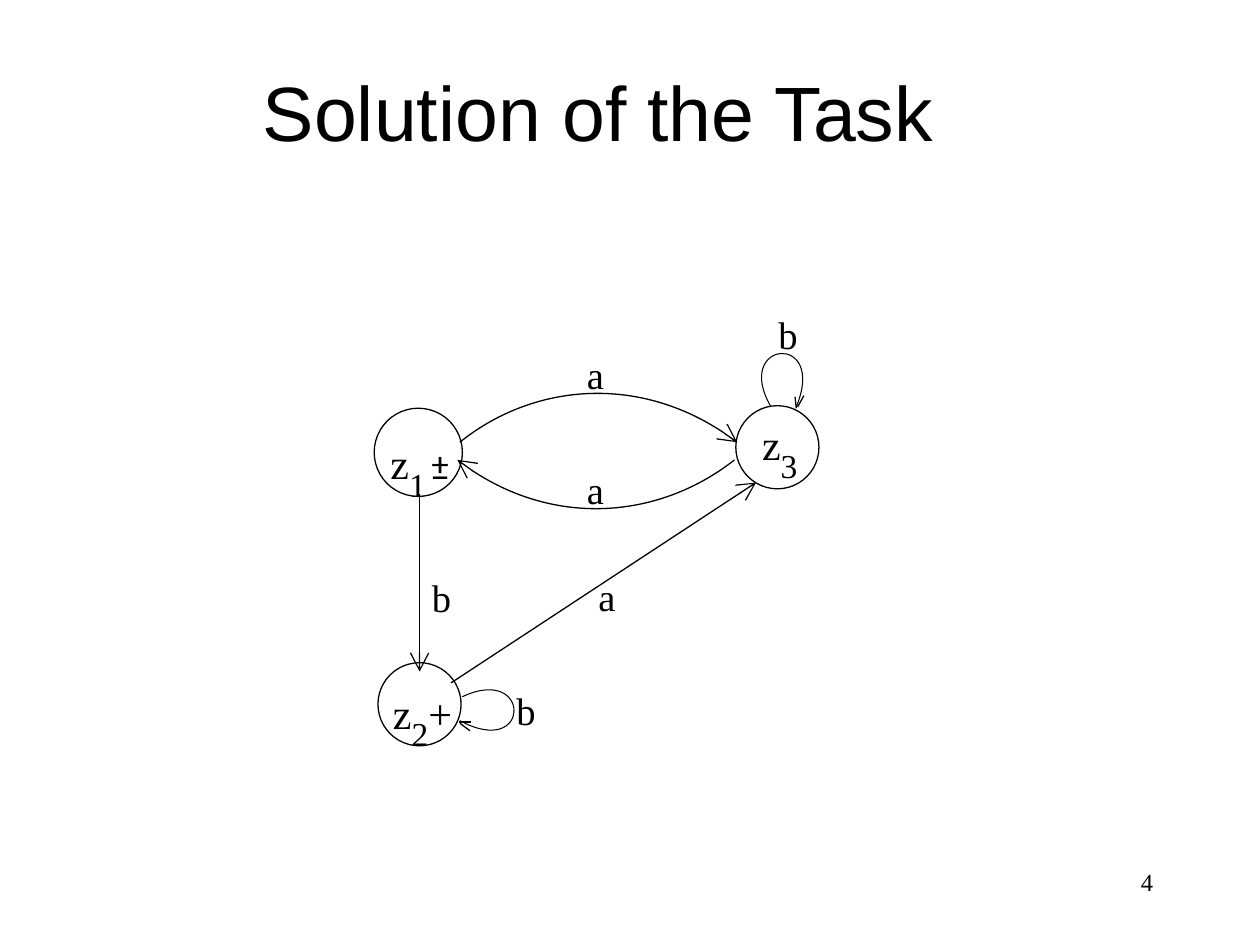
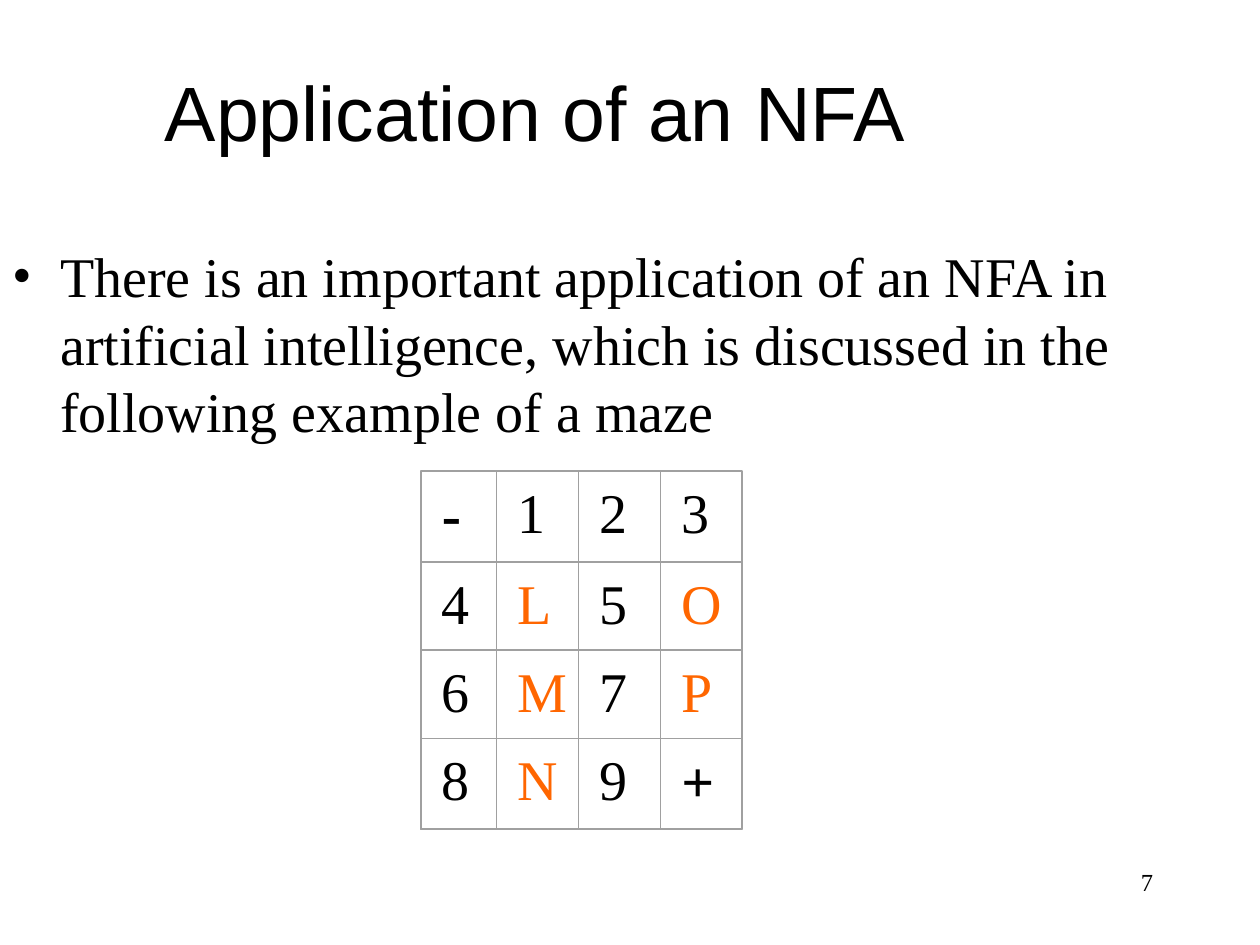
from itertools import accumulate

from pptx import Presentation
from pptx.dml.color import RGBColor
from pptx.enum.shapes import MSO_CONNECTOR as Connector, MSO_SHAPE as Preset
from pptx.enum.text import MSO_ANCHOR as Anchor, PP_ALIGN as Align
from pptx.oxml.ns import qn
from pptx.util import Inches, Pt
from lxml.etree import SubElement

COLOURS = {"ink": "000000", "paper": "FFFFFF", "wall": "FF6600", "grid": "A0A0A0"}
SERIF = "Times New Roman"
SANS = "Arial"
SYMBOL = "Karla"
LINE = 0.74
LOOP_LINE = 0.6
FRAME_LINE = 0.88

STATES = [
    ((2.97, 3.24), 0.7, (3, 3.3),
     [("z", 24, SERIF, 0), ("1", 33, SERIF, -30), (" ", 13, SERIF, -30), ("±", 24, SYMBOL, 0)]),
    ((3, 5.26), 0.66, (3.02, 5.28),
     [("z", 24, SERIF, 0), ("2", 33, SERIF, -30), ("+", 24, SERIF, 0)]),
    ((5.84, 3.22), 0.66, (5.95, 3.15),
     [("z", 24, SERIF, 0), ("3", 33, SERIF, -30)]),
]
CURVES = [
    [(3.65, 3.51), (4.21, 3.06), (5.12, 2.95), (5.85, 3.51)],
    [(5.83, 3.65), (5.26, 4.1), (4.35, 4.21), (3.63, 3.65)],
]
LOOPS = [
    ([(6.12, 3.23), (5.81, 2.7), (6.57, 2.63), (6.32, 3.23)],
     [[(6.33, 3.23), (6.38, 3.14)], [(6.31, 3.15), (6.32, 3.24)]]),
    ([(3.67, 5.53), (4.22, 5.27), (4.22, 6.03), (3.65, 5.72)],
     [[(3.65, 5.74), (3.73, 5.8)], [(3.74, 5.73), (3.64, 5.73)]]),
]
STRAIGHTS = [((3.33, 3.92), (3.33, 5.33)), ((3.58, 5.42), (6, 3.83))]
EDGE_LABELS = [
    ("a", 4.56, 2.74), ("a", 4.56, 3.65), ("b", 6.08, 2.42),
    ("b", 3.33, 4.51), ("b", 4, 5.4), ("a", 4.65, 4.5),
]
MAZE = ["-123", "4L5O", "6M7P", "8N9+"]
MAZE_COLUMNS = [0.6, 0.65, 0.65, 0.65]
MAZE_ROWS = [0.72, 0.7, 0.7, 0.72]
MAZE_GAP = 0.07


def colour(name):
    return RGBColor.from_string(COLOURS[name])


def style_run(span, size, font=SERIF, ink="ink", bold=False):
    span.font.size = Pt(size)
    span.font.name = font
    span.font.bold = bold
    span.font.color.rgb = colour(ink)


def add_text(page, text, left, top, width, height, size,
             font=SERIF, align=Align.LEFT, ink="ink", bold=False):
    box = page.shapes.add_textbox(Inches(left), Inches(top), Inches(width), Inches(height))
    box.text_frame.word_wrap = True
    box.text_frame.text = text
    para = box.text_frame.paragraphs[0]
    para.alignment = align
    for span in para.runs:
        style_run(span, size, font, ink, bold)
    return box


def add_page(deck, title, title_left, number):
    page = deck.slides.add_slide(deck.slide_layouts[6])
    heading = add_text(page, title, title_left, 0.25, 8.5, 1.25, 44, SANS, Align.CENTER)
    heading.text_frame.vertical_anchor = Anchor.MIDDLE
    add_text(page, number, 7.17, 6.83, 2.08, 0.5, 14, align=Align.RIGHT)
    return page


def style_line(shape, weight, ink="ink"):
    shape.line.color.rgb = colour(ink)
    shape.line.width = Pt(weight)


def add_arrowhead(shape):
    SubElement(shape.line._get_or_add_ln(), qn("a:tailEnd"), type="arrow", w="lg", len="lg")


def add_preset(page, preset, left, top, width, height, weight, ink="ink", fill=None):
    shape = page.shapes.add_shape(
        preset, Inches(left), Inches(top), Inches(width), Inches(height))
    shape.shadow.inherit = False
    if fill:
        shape.fill.solid()
        shape.fill.fore_color.rgb = colour(fill)
    else:
        shape.fill.background()
    style_line(shape, weight, ink)


def add_state(page, corner, diameter, place, spans):
    add_preset(page, Preset.OVAL, *corner, diameter, diameter, LINE, fill="paper")
    box = add_text(page, "", *place, 0.8, 0.46, 24)
    para = box.text_frame.paragraphs[0]
    for text, size, font, baseline in spans:
        span = para.add_run()
        span.text = text
        style_run(span, size, font)
        if baseline:
            span._r.get_or_add_rPr().set("baseline", str(baseline * 1000))


def add_stroke(page, points, weight):
    start, *others = [(Inches(x), Inches(y)) for x, y in points]
    builder = page.shapes.build_freeform(*start)
    builder.add_line_segments(others, close=False)
    stroke = builder.convert_to_shape()
    stroke.shadow.inherit = False
    stroke.fill.background()
    style_line(stroke, weight)
    return stroke


def add_curve(page, points, weight):
    curve = add_stroke(page, points, weight)
    outline = next(curve._element.iter(qn("a:path")))
    bezier = SubElement(outline, qn("a:cubicBezTo"))
    for segment in outline.findall(qn("a:lnTo")):
        bezier.append(segment[0])
        outline.remove(segment)
    return curve


def add_loop(page, points, head_strokes):
    add_curve(page, points, LOOP_LINE)
    for stroke in head_strokes:
        add_stroke(page, stroke, LINE)


def add_arrow(page, start, end):
    arrow = page.shapes.add_connector(
        Connector.STRAIGHT, *[Inches(value) for value in start + end])
    style_line(arrow, LINE)
    add_arrowhead(arrow)
    SubElement(arrow._element.spPr, qn("a:effectLst"))


def add_bullet(para, indent):
    properties = para._p.get_or_add_pPr()
    properties.set("marL", str(Inches(indent)))
    properties.set("indent", str(-Inches(indent)))
    SubElement(SubElement(properties, qn("a:buClr")), qn("a:srgbClr"), val=COLOURS["ink"])
    SubElement(properties, qn("a:buFont"), typeface=SERIF)
    SubElement(properties, qn("a:buChar"), char="•")


def add_maze_cell(page, mark, left, top, width, height):
    is_end = mark in "-+"
    add_text(page, mark, left + MAZE_GAP, top, width - 2 * MAZE_GAP, height,
             33 if is_end else 32, ink="wall" if mark.isalpha() else "ink", bold=is_end)
    add_preset(page, Preset.RECTANGLE, left, top, width, height, 0, "grid")


def add_maze(page, left, top):
    lefts = list(accumulate(MAZE_COLUMNS, initial=left))
    tops = list(accumulate(MAZE_ROWS, initial=top))
    for marks, cell_top, height in zip(MAZE, tops, MAZE_ROWS):
        for mark, cell_left, width in zip(marks, lefts, MAZE_COLUMNS):
            add_maze_cell(page, mark, cell_left, cell_top, width, height)
    add_preset(page, Preset.RECTANGLE, left, top,
               sum(MAZE_COLUMNS), sum(MAZE_ROWS), FRAME_LINE, "grid")


def build_solution(deck):
    page = add_page(deck, "Solution of the Task", 0.5, "4")
    for state in STATES:
        add_state(page, *state)
    for points in CURVES:
        add_arrowhead(add_curve(page, points, LINE))
    for points, head_strokes in LOOPS:
        add_loop(page, points, head_strokes)
    for start, end in STRAIGHTS:
        add_arrow(page, start, end)
    for label, left, top in EDGE_LABELS:
        add_text(page, label, left, top, 1.01, 0.41, 22)


def build_application(deck):
    page = add_page(deck, "Application of an NFA", 0, "7")
    body = add_text(
        page,
        "There is an important application of an NFA in artificial intelligence, "
        "which is discussed in the following example of a maze",
        0, 1.87, 8.94, 5.44, 32)
    para = body.text_frame.paragraphs[0]
    para.space_before = Pt(8)
    add_bullet(para, 0.38)
    add_maze(page, 3.34, 3.74)


def main():
    deck = Presentation()
    deck.slide_width, deck.slide_height = Inches(10), Inches(7.5)
    build_solution(deck)
    build_application(deck)
    deck.save("out.pptx")


main()
